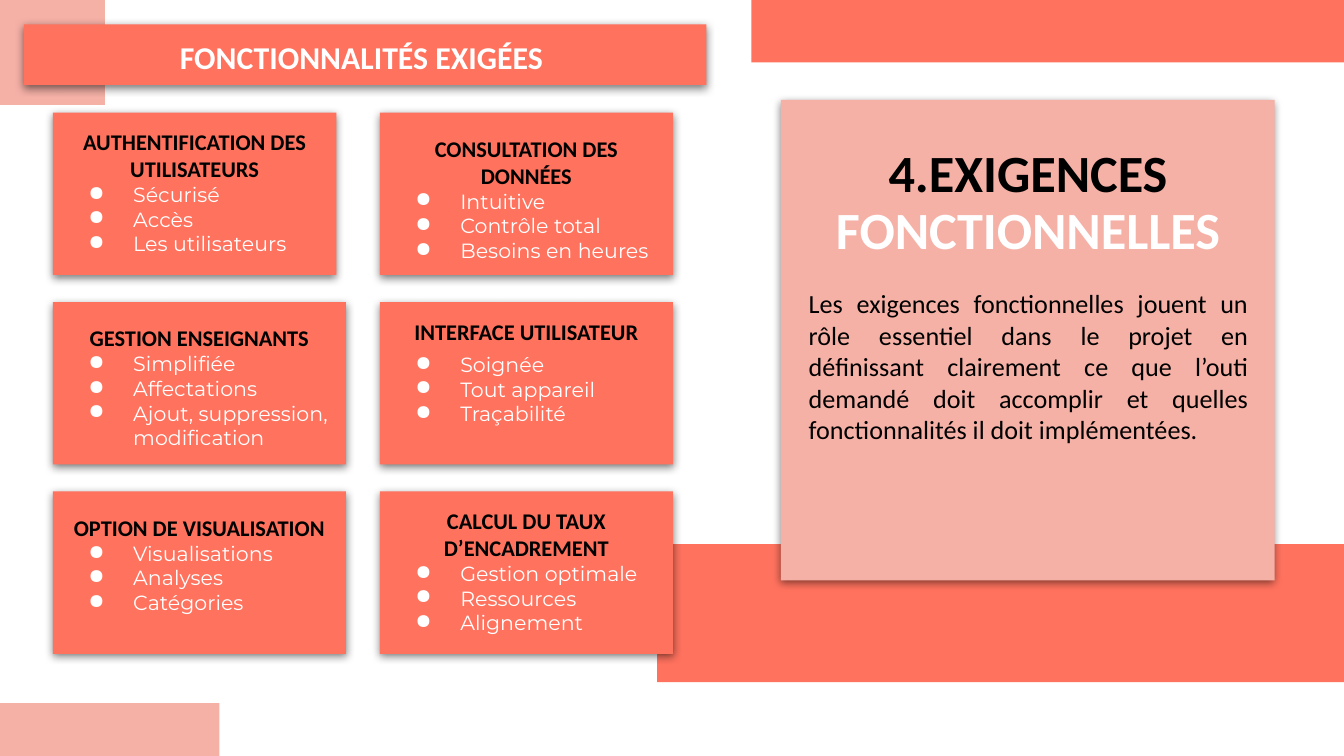
from lxml.etree import SubElement
from pptx import Presentation
from pptx.dml.color import RGBColor
from pptx.enum.shapes import MSO_SHAPE
from pptx.enum.text import MSO_ANCHOR, MSO_AUTO_SIZE, PP_ALIGN
from pptx.oxml.ns import qn
from pptx.util import Pt

COLORS = {"coral": "FF725E", "pink": "F6B1A7", "black": "000000", "white": "FFFFFF"}

CARDS = [
    ("AUTHENTIFICATION DES UTILISATEURS", ["Sécurisé", "Accès", "Les utilisateurs"],
     {"width": 152}),
    ("CONSULTATION DES DONNÉES", ["Intuitive", "Contrôle total", "Besoins en heures"],
     {"top_inset": 12}),
    ("GESTION ENSEIGNANTS", ["Simplifiée", "Affectations", "Ajout, suppression, modification"],
     {"top_inset": 12}),
    ("INTERFACE UTILISATEUR", ["Soignée", "Tout appareil", "Traçabilité"],
     {"heading_gap": 4}),
    ("OPTION DE VISUALISATION", ["Visualisations", "Analyses", "Catégories"],
     {"top_inset": 12}),
    ("CALCUL DU TAUX D’ENCADREMENT", ["Gestion optimale", "Ressources", "Alignement"], {}),
]


def color(name):
    return RGBColor.from_string(COLORS[name])


def add_text(paragraph, text, size=12, font="Calibri", fill="black", bold=False,
             align=PP_ALIGN.LEFT):
    paragraph.alignment = align
    run = paragraph.add_run()
    run.text = text
    run.font.size = Pt(size)
    run.font.name = font
    run.font.bold = bold
    run.font.color.rgb = color(fill)


def add_bullet(paragraph):
    properties = paragraph._p.get_or_add_pPr()
    properties.set("marL", str(Pt(36)))
    properties.set("indent", str(-Pt(24)))
    bullet_color = SubElement(properties, qn("a:buClr"))
    SubElement(bullet_color, qn("a:srgbClr"), val=COLORS["white"])
    SubElement(properties, qn("a:buChar"), char="●")


class SlideBuilder:
    inset = 7.2

    def __init__(self, slide):
        self.slide = slide

    def prepare_frame(self, shape, anchor=MSO_ANCHOR.TOP, top_inset=inset):
        frame = shape.text_frame
        frame.word_wrap = True
        frame.auto_size = MSO_AUTO_SIZE.NONE
        frame.vertical_anchor = anchor
        frame.margin_left = frame.margin_right = frame.margin_bottom = Pt(self.inset)
        frame.margin_top = Pt(top_inset)
        return frame

    def rectangle(self, left, top, width, height, fill="coral", shadow=False):
        shape = self.slide.shapes.add_shape(
            MSO_SHAPE.RECTANGLE, Pt(left), Pt(top), Pt(width), Pt(height))
        shape.fill.solid()
        shape.fill.fore_color.rgb = color(fill)
        shape.line.fill.background()
        shape.shadow.inherit = False
        if shadow:
            effects = shape._element.spPr.find(qn("a:effectLst"))
            outer = SubElement(effects, qn("a:outerShdw"), blurRad=str(Pt(4.5)),
                               dist=str(Pt(1.5)), dir="5400000", algn="bl", rotWithShape="0")
            shade = SubElement(outer, qn("a:srgbClr"), val=COLORS["black"])
            SubElement(shade, qn("a:alpha"), val="50000")
        return shape

    def title(self, left, top, width, height, parts):
        shape = self.slide.shapes.title
        self.slide.shapes._spTree.append(shape._element)
        shape.left, shape.top = Pt(left), Pt(top)
        shape.width, shape.height = Pt(width), Pt(height)
        paragraph = self.prepare_frame(shape, MSO_ANCHOR.BOTTOM).paragraphs[0]
        paragraph.line_spacing = 0.9
        for text, fill in parts:
            add_text(paragraph, text, size=28, fill=fill, bold=True, align=PP_ALIGN.CENTER)

    def body(self, left, top, width, height, text):
        shape = self.slide.shapes.add_textbox(Pt(left), Pt(top), Pt(width), Pt(height))
        frame = self.prepare_frame(shape)
        add_text(frame.paragraphs[0], text, size=14, align=PP_ALIGN.JUSTIFY)

    def banner(self, left, top, width, height, text):
        frame = self.prepare_frame(self.rectangle(left, top, width, height, shadow=True))
        add_text(frame.paragraphs[0], text, size=17, fill="white", bold=True,
                 align=PP_ALIGN.CENTER)

    def card(self, left, top, heading, items, width=157, top_inset=8.4, heading_gap=0):
        shape = self.rectangle(left, top, width, 87, shadow=True)
        frame = self.prepare_frame(shape, top_inset=top_inset)
        paragraph = frame.paragraphs[0]
        paragraph.space_after = Pt(heading_gap)
        add_text(paragraph, heading, bold=True, align=PP_ALIGN.CENTER)
        for item in items:
            paragraph = frame.add_paragraph()
            add_bullet(paragraph)
            add_text(paragraph, item, size=11, font="Montserrat", fill="white")


def main():
    presentation = Presentation()
    presentation.slide_width, presentation.slide_height = Pt(720), Pt(405)
    builder = SlideBuilder(presentation.slides.add_slide(presentation.slide_layouts[5]))

    builder.rectangle(352, 291.5, 368, 74)
    builder.rectangle(402.5, 0, 317.5, 33.5)
    builder.rectangle(0, 0, 56.25, 56.25, fill="pink")
    builder.rectangle(0, 376.75, 117.5, 28.25, fill="pink")

    builder.rectangle(418.3, 53.5, 264.5, 257.5, fill="pink", shadow=True)
    builder.title(420, 76.3, 261.4, 70.5,
                  [("4.EXIGENCES", "black"), (" FONCTIONNELLES", "white")])
    builder.body(426.2, 147, 249.8, 99.4,
                 "Les exigences fonctionnelles jouent un rôle essentiel dans le projet en "
                 "définissant clairement ce que l’outi demandé doit accomplir et quelles "
                 "fonctionnalités il doit implémentées.")

    builder.banner(12.8, 13, 365.6, 32.5, "FONCTIONNALITÉS EXIGÉES ")
    for index, (heading, items, options) in enumerate(CARDS):
        row, column = divmod(index, 2)
        builder.card(28.3 + 175.2 * column, 60.3 + 101.5 * row, heading, items, **options)

    presentation.save("out.pptx")


if __name__ == "__main__":
    main()
